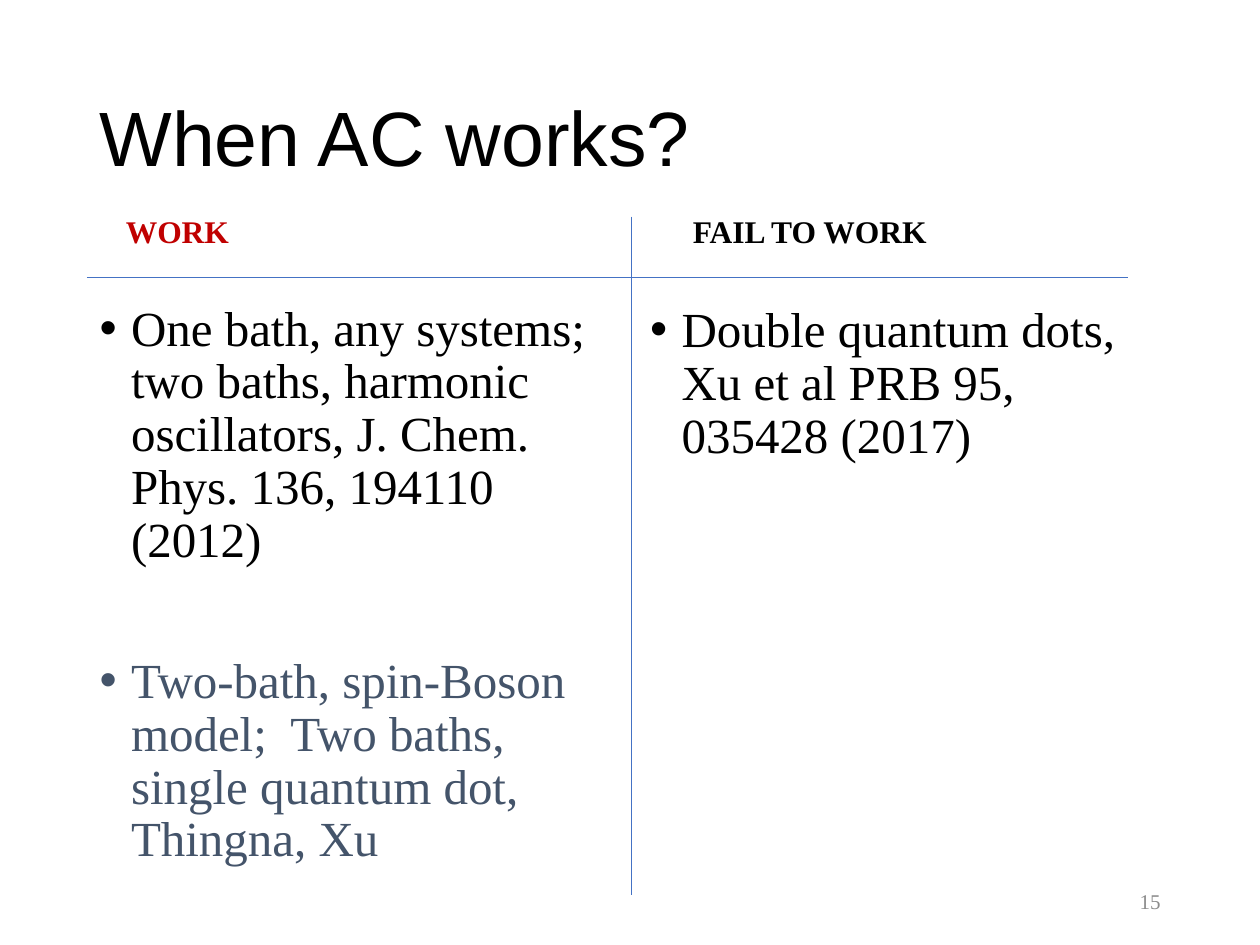
from lxml import etree
from pptx import Presentation
from pptx.dml.color import RGBColor
from pptx.enum.shapes import MSO_CONNECTOR
from pptx.enum.text import MSO_ANCHOR, MSO_AUTO_SIZE, PP_ALIGN
from pptx.oxml.ns import qn
from pptx.util import Pt

LEFT, RIGHT = PP_ALIGN.LEFT, PP_ALIGN.RIGHT
TOP, MIDDLE = MSO_ANCHOR.TOP, MSO_ANCHOR.MIDDLE
STRAIGHT = MSO_CONNECTOR.STRAIGHT

COLORS = {"black": "000000", "red": "C00000", "slate": "44546A",
          "grey": "8C8C8C", "rule": "4472C4"}
SERIF = "Times New Roman"
TITLE = "When AC works?"
PAGE_NUMBER = "15"
# Heading, heading colour, heading left, body left, body top, points
COLUMNS = [
    ("WORK", "red", 64.8, 49.68, 169.92, [
        ("One bath, any systems; two baths, harmonic oscillators, "
         "J. Chem. Phys. 136, 194110 (2012)", "black"),
        ("Two-bath, spin-Boson model;  Two baths, single quantum dot, "
         "Thingna, Xu", "slate"),
    ]),
    ("FAIL TO WORK", "black", 388.8, 364.32, 170.64, [
        ("Double quantum dots, Xu et al PRB 95, 035428 (2017)", "black"),
    ]),
]
RULES = [(49.68, 158.4, 644.4, 158.4), (360.72, 123.84, 360.72, 511.2)]
BODY_SIZE = (306, 342.72)
HEADING_TOP, HEADING_SIZE = 117.36, (248.4, 28.8)
HANGING = Pt(18)
POINT_GAP = 50


def place(box, left, top, width, height, anchor):
    box.left, box.top, box.width, box.height = map(Pt, (left, top, width, height))
    frame = box.text_frame
    settings = {"word_wrap": True, "auto_size": MSO_AUTO_SIZE.NONE,
                "vertical_anchor": anchor}
    for name, value in settings.items():
        setattr(frame, name, value)
    return frame


def write(paragraph, text, color, size, font=SERIF, bold=False, align=LEFT):
    paragraph.alignment = align
    run = paragraph.add_run()
    run.text = text
    for name, value in {"name": font, "size": Pt(size), "bold": bold}.items():
        setattr(run.font, name, value)
    run.font.color.rgb = RGBColor.from_string(COLORS[color])


def add_bullet(paragraph):
    properties = paragraph._p.get_or_add_pPr()
    properties.set("marL", str(HANGING))
    properties.set("indent", str(-HANGING))
    etree.SubElement(properties, qn("a:buFont")).set("typeface", "Arial")
    etree.SubElement(properties, qn("a:buChar")).set("char", "•")


def fill_points(frame, points):
    for index, (text, color) in enumerate(points):
        paragraph = frame.add_paragraph() if index else frame.paragraphs[0]
        add_bullet(paragraph)
        paragraph.line_spacing = 0.9
        paragraph.space_before = Pt(POINT_GAP if index else 0)
        write(paragraph, text, color, 28)


def add_rule(slide, ends):
    rule = slide.shapes.add_connector(STRAIGHT, *map(Pt, ends))
    rule.line.color.rgb = RGBColor.from_string(COLORS["rule"])
    rule.line.width = Pt(0.5)
    etree.SubElement(rule._element.spPr, qn("a:effectLst"))


def add_label(slide, box, anchor, text, color, size, **style):
    label = slide.shapes.add_textbox(0, 0, 0, 0)
    write(place(label, *box, anchor).paragraphs[0], text, color, size, **style)


def main():
    deck = Presentation()
    deck.slide_width, deck.slide_height = Pt(720), Pt(540)
    slide = deck.slides.add_slide(deck.slide_layouts[3])
    title, *bodies = slide.placeholders

    heading = place(title, 49.68, 28.8, 620.64, 104.4, MIDDLE).paragraphs[0]
    heading.line_spacing = 0.9
    write(heading, TITLE, "black", 44, font="Arial")

    for body, column in zip(bodies, COLUMNS):
        name, color, name_left, left, top, points = column
        fill_points(place(body, left, top, *BODY_SIZE, TOP), points)
        add_label(slide, (name_left, HEADING_TOP, *HEADING_SIZE), TOP,
                  name, color, 18, bold=True)

    add_label(slide, (508.32, 500.4, 162, 28.8), MIDDLE,
              PAGE_NUMBER, "grey", 12, align=RIGHT)
    for ends in RULES:
        add_rule(slide, ends)
    deck.save("out.pptx")


if __name__ == "__main__":
    main()
